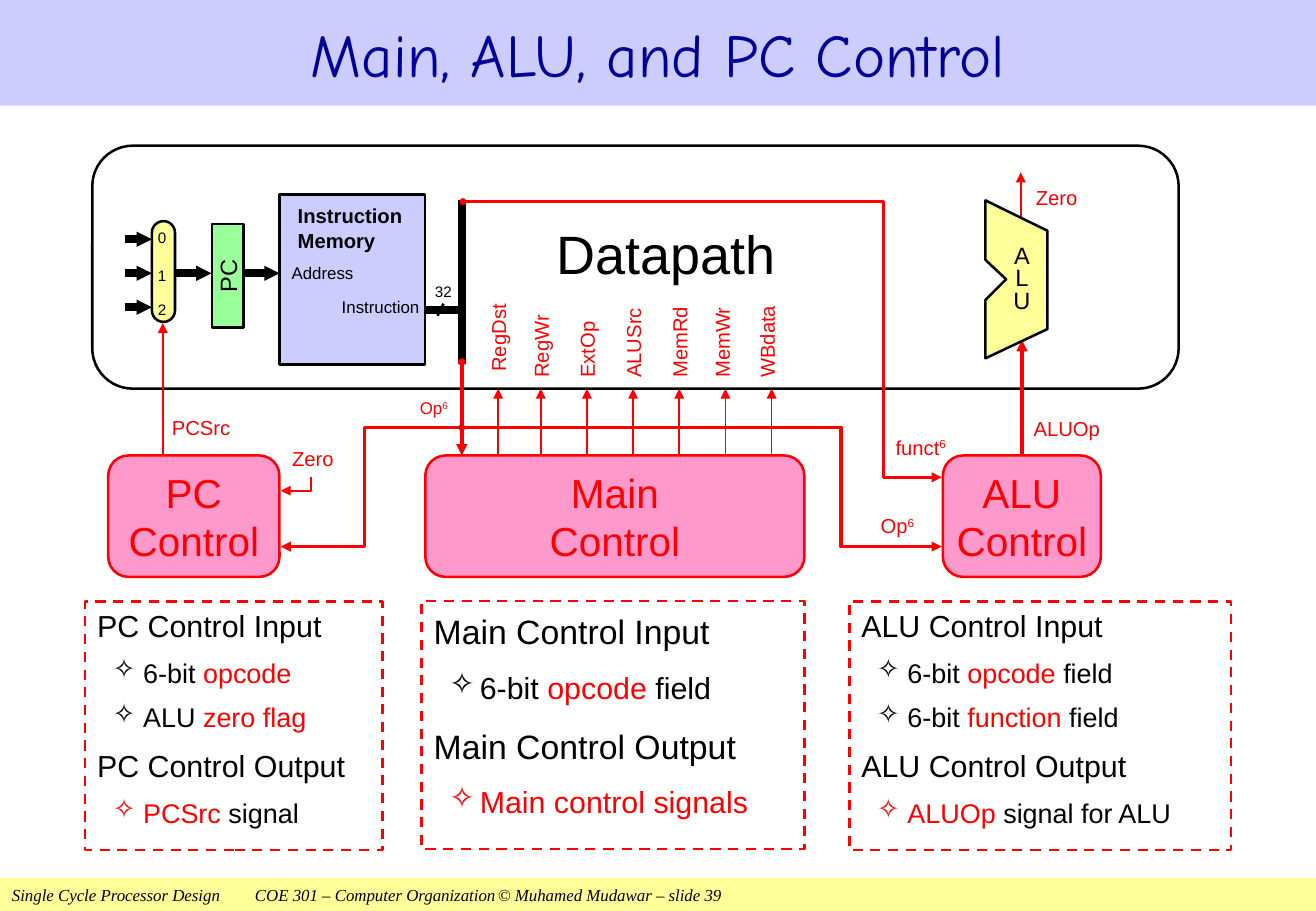
from dataclasses import dataclass

from lxml.etree import SubElement as Sub
from pptx import Presentation
from pptx.dml.color import RGBColor as RGB
from pptx.enum.dml import MSO_LINE as Dash
from pptx.enum.shapes import MSO_CONNECTOR as Conn, MSO_SHAPE as Geo
from pptx.enum.text import MSO_ANCHOR as Anchor, PP_ALIGN as Align
from pptx.oxml.ns import qn
from pptx.util import Inches, Pt

HUES = {
    "black": "000000", "red": "FF0000", "navy": "000099", "lilac": "CCCCFF",
    "cream": "FFFF99", "pink": "FF99CC", "green": "99FF99",
}
LEFT, MID, RIGHT = Align.LEFT, Align.CENTER, Align.RIGHT
Box = tuple[float, float, float, float]
Spot = tuple[float, float]


@dataclass
class Label:
    text: str
    box: Box
    size: float = 12
    hue: str = "red"
    align: Align = LEFT
    turn: float = 0
    power: str = ""
    bold: bool = False


@dataclass
class Wire:
    spots: list[Spot]
    width: float
    hue: str = "red"
    head: str = ""
    tail: str = "triangle"
    scale: str = "med"


@dataclass
class Signal:
    name: str
    x: float
    label_x: float
    base: float = 3.11


@dataclass
class Panel:
    box: Box
    size: int
    rows: list[list[tuple[str, str]]]
    space: float = 1.0


deck = Presentation()
deck.slide_width, deck.slide_height = Inches(10.83), Inches(7.5)
slide = deck.slides.add_slide(deck.slide_layouts[6])
shapes = slide.shapes


def color(hue: str) -> RGB:
    return RGB.from_string(HUES[hue])


def paint(shape, fill: str, line: str, width: float = 1.5) -> None:
    shape.shadow.inherit = False
    if fill:
        shape.fill.solid()
        shape.fill.fore_color.rgb = color(fill)
    else:
        shape.fill.background()
    if line:
        shape.line.color.rgb = color(line)
        shape.line.width = Pt(width)
    else:
        shape.line.fill.background()


def block(geo: Geo, box: Box, fill: str = "", line: str = "", turn: float = 0):
    shape = shapes.add_shape(geo, *map(Inches, box))
    paint(shape, fill, line)
    shape.rotation = turn
    return shape


def style(run, size: float, hue: str, face: str = "Arial") -> None:
    run.font.size, run.font.name = Pt(size), face
    run.font.color.rgb = color(hue)


def write(shape, text: str, size: float, hue: str, align: Align = MID,
          face: str = "Arial", inset: float = 0) -> None:
    frame = shape.text_frame
    frame.word_wrap, frame.vertical_anchor = True, Anchor.MIDDLE
    frame.margin_left = frame.margin_right = Inches(inset)
    frame.margin_top = frame.margin_bottom = 0
    frame.text = text
    for para in frame.paragraphs:
        para.alignment = align
        for run in para.runs:
            style(run, size, hue, face)


def draw_label(item: Label) -> None:
    area = shapes.add_textbox(*map(Inches, item.box))
    area.rotation = item.turn
    write(area, item.text, item.size, item.hue, item.align)
    paras = area.text_frame.paragraphs
    for para in paras:
        para.font.bold = item.bold
        for run in para.runs:
            run.font.bold = item.bold
    if item.power:
        run = paras[-1].add_run()
        run.text = item.power
        style(run, item.size, item.hue)
        run.font._element.set("baseline", "30000")


def draw_wire(item: Wire) -> None:
    spots = [(Inches(x), Inches(y)) for x, y in item.spots]
    if len(spots) == 2:
        shape = shapes.add_connector(Conn.STRAIGHT, *spots[0], *spots[1])
        shape.line.color.rgb = color(item.hue)
        shape.line.width = Pt(item.width)
        Sub(shape._element.spPr, qn("a:effectLst"))
    else:
        form = shapes.build_freeform(*spots[0])
        form.add_line_segments(spots[1:], close=False)
        shape = form.convert_to_shape()
        paint(shape, "", item.hue, item.width)
    line = shape.line._get_or_add_ln()
    for tag, kind, scale in (("a:headEnd", item.head, "sm"),
                             ("a:tailEnd", item.tail, item.scale)):
        if kind:
            Sub(line, qn(tag), type=kind, w=scale, len=scale)


def draw_panel(item: Panel) -> None:
    shape = block(Geo.RECTANGLE, item.box, "", "red")
    shape.line.dash_style = Dash.DASH
    frame = shape.text_frame
    frame.word_wrap, frame.vertical_anchor = True, Anchor.TOP
    for i, row in enumerate(item.rows):
        para = frame.add_paragraph() if i else frame.paragraphs[0]
        child = "Control " not in row[0][0]
        size = item.size - 2 if child else item.size
        if child:
            props = para._p.get_or_add_pPr()
            props.set("marL", str(Inches(0.38)))
            props.set("indent", str(Inches(-0.25)))
            Sub(props, qn("a:buChar"), char="✧")
        para.alignment, para.line_spacing = LEFT, item.space
        para.space_before = Pt(size * 0.46 if i else 0)
        for text, hue in row:
            run = para.add_run()
            run.text = text
            style(run, size, hue)


# Title and footer bands
write(block(Geo.RECTANGLE, (0, 0, 10.83, 0.87), "lilac"),
      "Main, ALU, and PC Control", 36, "navy", face="Comic Neue")
foot = block(Geo.RECTANGLE, (0, 7.23, 10.83, 0.27), "cream")
write(foot, "Single Cycle Processor Design\tCOE 301 – Computer Organization\t"
      "© Muhamed Mudawar – slide 39", 10, "black", LEFT, "Times New Roman", 0.1)
for run in foot.text_frame.paragraphs[0].runs:
    run.font.italic = True

# Datapath frame, memory, PC and multiplexer
block(Geo.ROUNDED_RECTANGLE, (0.76, 1.2, 8.94, 2), "", "black")
block(Geo.RECTANGLE, (2.3, 1.6, 1.2, 1.4), "lilac", "black")
write(block(Geo.RECTANGLE, (1.45, 2.14, 0.85, 0.26), "green", "black", 270),
      "PC", 14, "black")
mux = block(Geo.ROUNDED_RECTANGLE, (0.93, 2.14, 0.83, 0.19), "cream", "black", 270)
mux.adjustments[0] = 0.5

# Control units
for name, box in (("PC", (0.89, 3.75, 1.41, 1)), ("Main", (3.5, 3.75, 3.12, 1)),
                  ("ALU", (7.76, 3.75, 1.3, 1))):
    write(block(Geo.ROUNDED_RECTANGLE, box, "pink", "red"),
          f"{name}\nControl", 24, "red")

# Wires
wires = [
    Wire([(3.5, 2.55), (3.8, 2.55)], 4.5, "black", tail=""),
    Wire([(3.65, 2.5), (3.6, 2.6)], 1.5, "black", tail=""),
    Wire([(3.8, 1.65), (3.8, 3)], 4.5, "black", tail=""),
    Wire([(2, 2.25), (2.3, 2.25)], 4.5, "black", scale="sm"),
    Wire([(1.44, 2.25), (1.74, 2.25)], 4.5, "black", scale="sm"),
    *(Wire([(1.03, y), (1.25, y)], 4.5, "black", scale="sm")
      for y in (1.97, 2.25, 2.53)),
    Wire([(3.8, 2.98), (3.8, 3.75)], 2.25, head="oval"),
    Wire([(8.4, 1.82), (8.4, 1.42)], 1),
    Wire([(8.41, 3.75), (8.41, 2.8)], 2.25),
    Wire([(1.34, 3.75), (1.34, 2.66)], 1.25),
    Wire([(3.8, 3.52), (6.92, 3.52), (6.92, 4.5), (7.75, 4.5)], 2, head="oval"),
    Wire([(3.81, 1.66), (7.27, 1.66), (7.27, 3.93), (7.75, 3.93)], 2, head="oval"),
    Wire([(3.8, 3.52), (3, 3.52), (3, 4.5), (2.31, 4.5)], 2),
    Wire([(2.56, 3.93), (2.56, 4.04), (2.31, 4.04)], 1),
]
signals = [
    Signal("RegDst", 4.1, 4.1, 3.06), Signal("RegWr", 4.45, 4.45),
    Signal("ExtOp", 4.83, 4.83), Signal("ALUSrc", 5.21, 5.21),
    Signal("MemRd", 5.59, 5.59), Signal("MemWr", 5.97, 5.94),
    Signal("WBdata", 6.35, 6.31),
]
wires += [Wire([(s.x, 3.75), (s.x, 3.2)], 1) for s in signals]
for wire in wires:
    draw_wire(wire)

# ALU
rim = [(8.62, 2.71), (8.62, 1.9), (8.11, 1.65), (8.11, 2.14), (8.28, 2.3), (8.11, 2.47)]
form = shapes.build_freeform(Inches(8.11), Inches(2.95))
form.add_line_segments([(Inches(x), Inches(y)) for x, y in rim], close=True)
paint(form.convert_to_shape(), "cream", "black")
alu = Label("A\nL\nU", (8.2, 1.9, 0.42, 0.81), 14, "black", MID)
draw_label(alu)
for para in shapes[-1].text_frame.paragraphs:
    para.line_spacing = 0.8

# Labels
labels = [
    Label("Datapath", (4.2, 1.82, 2.57, 0.52), 32, "black", MID),
    Label("32", (3.58, 2.3, 0.2, 0.2), 9, "black"),
    Label("Address", (2.4, 2.1, 0.75, 0.3), 10, "black"),
    Label("Instruction", (2.5, 2.4, 0.95, 0.25), 10, "black", RIGHT),
    Label("Instruction\nMemory", (2.45, 1.6, 0.95, 0.55), 12, "black", bold=True),
    *(Label(str(i), (1.3, y, 0.17, 0.17), 9, "black")
      for i, y in enumerate((1.87, 2.18, 2.46))),
    Label("Op", (3.42, 3.23, 0.3, 0.26), 10, align=MID, power="6"),
    Label("Op", (7.06, 4.2, 0.65, 0.25), align=MID, power="6"),
    Label("funct", (7.37, 3.56, 0.48, 0.24), power="6"),
    Label("ALUOp", (8.46, 3.4, 0.64, 0.25), align=MID),
    Label("Zero", (8.45, 1.5, 0.49, 0.25), align=MID),
    Label("PCSrc", (1.3, 3.39, 0.71, 0.25), align=MID),
    Label("Zero", (2.33, 3.65, 0.49, 0.25), align=MID),
]
labels += [Label(s.name, (s.label_x - 0.38, s.base - 0.48, 0.76, 0.2), turn=270)
           for s in signals]
for label in labels:
    draw_label(label)

# Notes on inputs and outputs
K, R = "black", "red"
panels = [
    Panel((0.7, 4.95, 2.45, 2.05), 18, [
        [("PC Control Input", K)], [("6-bit ", K), ("opcode", R)],
        [("ALU ", K), ("zero flag", R)],
        [("PC Control Output", K)], [("PCSrc", R), (" signal", K)]]),
    Panel((3.47, 4.95, 3.15, 2.04), 20, [
        [("Main Control Input", K)], [("6-bit ", K), ("opcode", R), (" field", K)],
        [("Main Control Output", K)], [("Main control signals", R)]], 1.1),
    Panel((6.99, 4.95, 3.14, 2.05), 18, [
        [("ALU Control Input", K)], [("6-bit ", K), ("opcode ", R), ("field", K)],
        [("6-bit ", K), ("function ", R), ("field", K)],
        [("ALU Control Output", K)], [("ALUOp ", R), ("signal for ALU", K)]]),
]
for panel in panels:
    draw_panel(panel)

deck.save("out.pptx")
